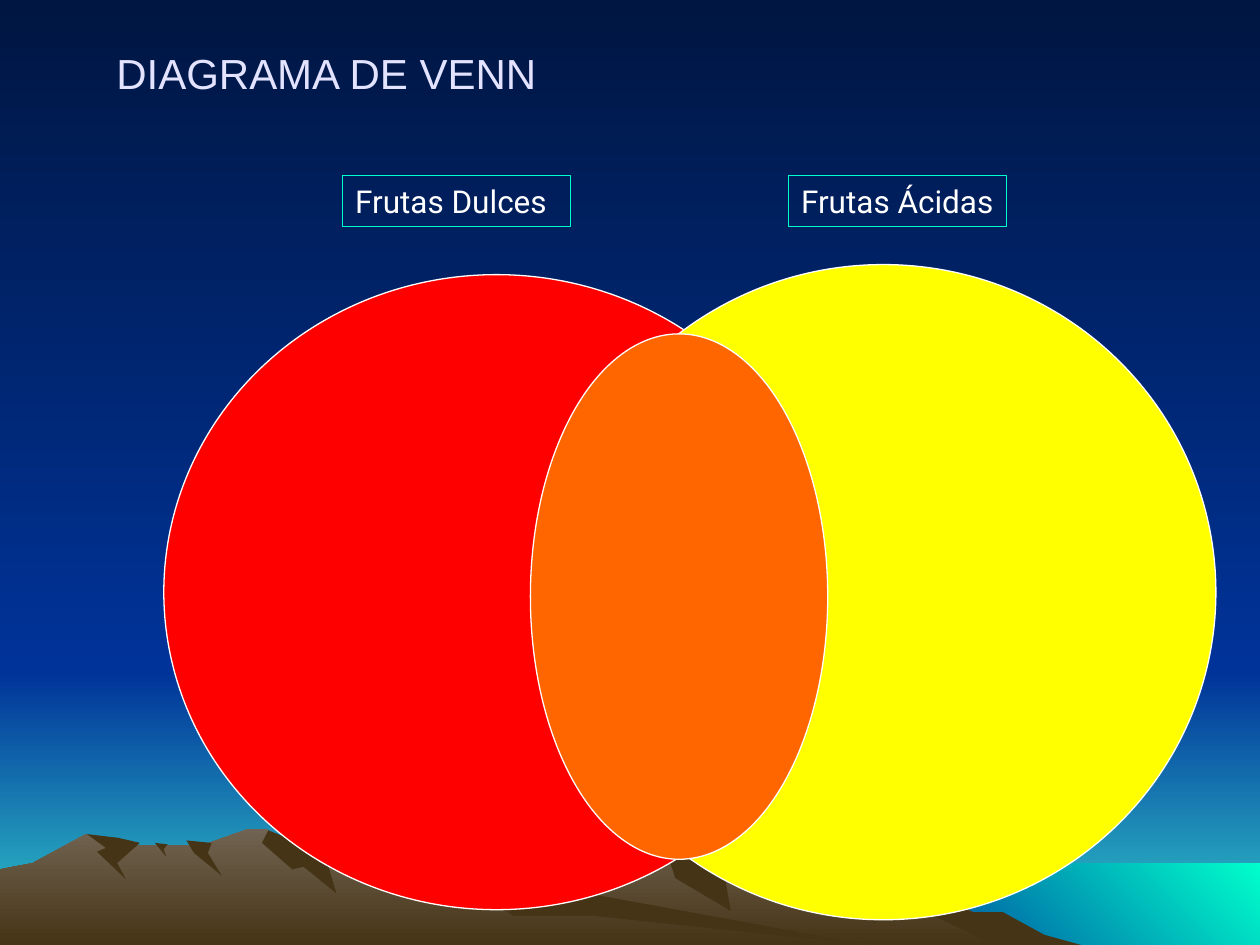
from dataclasses import dataclass
from typing import NamedTuple

from pptx import Presentation
from pptx.dml.color import RGBColor
from pptx.dml.fill import FillFormat
from pptx.enum.shapes import MSO_SHAPE
from pptx.enum.text import MSO_ANCHOR, PP_ALIGN
from pptx.shapes.autoshape import Shape
from pptx.shapes.shapetree import SlideShapes
from pptx.text.text import TextFrame
from pptx.util import Pt

SCALE = 9144
WIDE, HIGH = 1000, 750
Point = tuple[int, int]


@dataclass(frozen=True)
class Theme:
    night: str = "001642"
    blue: str = "003399"
    teal: str = "33CCCC"
    mint: str = "00FFCC"
    stone: str = "706351"
    earth: str = "463416"
    red: str = "FF0000"
    yellow: str = "FFFF00"
    orange: str = "FF6600"
    white: str = "FFFFFF"
    title: str = "E3E3FF"
    head_font: str = "Arial"
    body_font: str = "Roboto"
    head_size: int = 24
    body_size: int = 18
    line_size: float = 0.75


THEME = Theme()


class Box(NamedTuple):
    left: int
    top: int
    width: int
    height: int


class Patch(NamedTuple):
    points: list[Point]
    inks: tuple[str, ...]
    angle: int = 270


class Oval(NamedTuple):
    box: Box
    ink: str


class Label(NamedTuple):
    box: Box
    text: str


def block(left: int, top: int, right: int, base: int) -> list[Point]:
    return [(right, base), (left, base), (left, top), (right, top)]


SKY = (THEME.night, THEME.blue)
ROCK = (THEME.stone, THEME.earth)
SHADE = (THEME.earth,)

SCENE = [
    Patch(block(0, 533, WIDE, HIGH), (THEME.blue, THEME.teal)),
    Patch(block(0, 0, WIDE, 533), SKY),
    Patch(block(683, 685, WIDE, HIGH), (THEME.blue, THEME.mint), 45),
    Patch([(258, HIGH), (355, 698), (471, 658), (566, 697), (685, 660),
           (723, 698), (821, HIGH)], ROCK),
    Patch([(685, 660), (734, 703), (771, 724), (796, 724), (829, 742),
           (858, HIGH), (790, HIGH), (720, 717), (693, 733)], SHADE),
    Patch([(529, 676), (536, 697), (580, 723), (576, 700), (592, 689)], SHADE),
    Patch([(0, HIGH), (0, 690), (26, 685), (68, 662), (94, 671), (160, 671),
           (196, 658), (212, 658), (236, 681), (331, 663), (432, 712),
           (690, HIGH)], ROCK),
    Patch([(213, 659), (208, 669), (232, 690), (241, 688), (267, 709),
           (261, 689), (271, 682)], SHADE),
    Patch([(354, 665), (337, 687), (363, 691), (407, 727), (472, 727),
           (690, HIGH), (455, 707)], SHADE),
    Patch([(148, 667), (168, 669), (165, 677), (176, 695), (154, 677)], SHADE),
    Patch([(123, 669), (133, 670), (130, 674), (132, 680)], SHADE),
    Patch([(69, 662), (94, 665), (111, 669), (93, 685), (100, 698),
           (77, 676), (84, 673)], SHADE),
]

OVALS = [
    Oval(Box(130, 218, 528, 504), THEME.red),
    Oval(Box(437, 210, 528, 520), THEME.yellow),
    Oval(Box(421, 265, 236, 417), THEME.orange),
]
LABELS = [
    Label(Box(272, 139, 181, 41), "Frutas Dulces"),
    Label(Box(626, 139, 173, 41), "Frutas Ácidas"),
]
TITLE = Label(Box(50, 25, 418, 65), "DIAGRAMA DE VENN")


def hue(code: str) -> RGBColor:
    return RGBColor.from_string(code)


def scaled(box: Box) -> list[int]:
    return [side * SCALE for side in box]


def paint(fill: FillFormat, inks: tuple[str, ...], angle: int = 270) -> None:
    if len(inks) == 1:
        fill.solid()
        fill.fore_color.rgb = hue(inks[0])
        return
    fill.gradient()
    fill.gradient_angle = angle
    for stop, ink in zip(fill.gradient_stops, inks):
        stop.color.rgb = hue(ink)


def edge(shape: Shape, ink: str) -> None:
    shape.line.color.rgb = hue(ink)
    shape.line.width = Pt(THEME.line_size)


def add_patch(shapes: SlideShapes, patch: Patch) -> None:
    first, *rest = patch.points
    pen = shapes.build_freeform(*first, scale=SCALE)
    pen.add_line_segments(rest)
    shape = pen.convert_to_shape()
    shape.shadow.inherit = False
    paint(shape.fill, patch.inks, patch.angle)
    shape.line.fill.background()


def add_oval(shapes: SlideShapes, oval: Oval) -> None:
    shape = shapes.add_shape(MSO_SHAPE.OVAL, *scaled(oval.box))
    shape.shadow.inherit = False
    paint(shape.fill, (oval.ink,))
    edge(shape, THEME.white)


def write(frame: TextFrame, text: str, font: str, size: int, ink: str, align: PP_ALIGN) -> None:
    frame.text = text
    frame.word_wrap = True
    frame.vertical_anchor = MSO_ANCHOR.MIDDLE
    para = frame.paragraphs[0]
    para.alignment = align
    for run in para.runs:
        run.font.name = font
        run.font.size = Pt(size)
        run.font.color.rgb = hue(ink)


def add_label(shapes: SlideShapes, label: Label) -> None:
    shape = shapes.add_shape(MSO_SHAPE.RECTANGLE, *scaled(label.box))
    shape.shadow.inherit = False
    shape.fill.background()
    edge(shape, THEME.mint)
    shape.text_frame.margin_right = 0
    write(shape.text_frame, label.text, THEME.body_font, THEME.body_size,
          THEME.white, PP_ALIGN.LEFT)


def main() -> None:
    deck = Presentation()
    deck.slide_width, deck.slide_height = WIDE * SCALE, HIGH * SCALE
    slide = deck.slides.add_slide(deck.slide_layouts[6])
    shapes = slide.shapes
    paint(slide.background.fill, SKY)
    for patch in SCENE:
        add_patch(shapes, patch)
    title = shapes.add_textbox(*scaled(TITLE.box))
    write(title.text_frame, TITLE.text, THEME.head_font, THEME.head_size,
          THEME.title, PP_ALIGN.CENTER)
    for oval in OVALS:
        add_oval(shapes, oval)
    for label in LABELS:
        add_label(shapes, label)
    deck.save("out.pptx")


if __name__ == "__main__":
    main()
